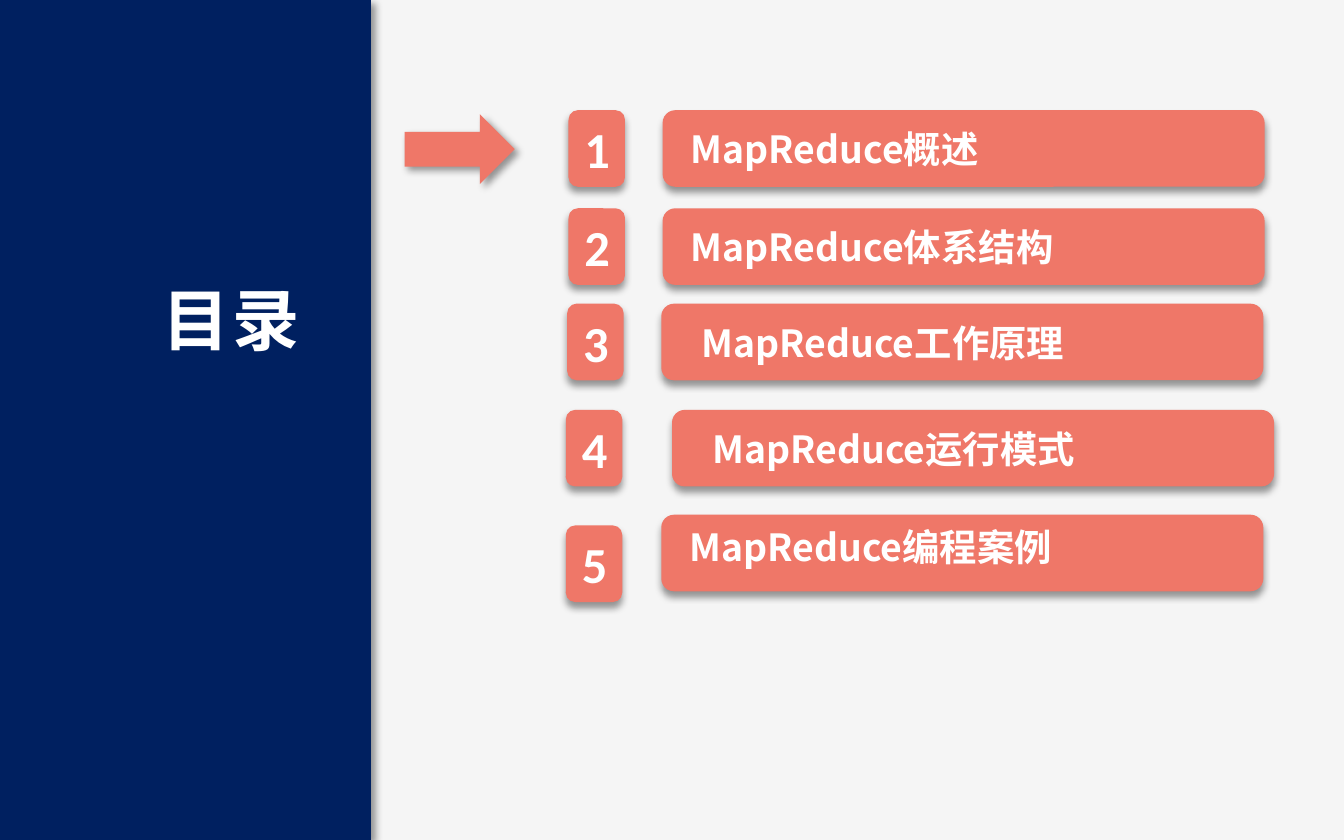
from lxml.etree import SubElement
from pptx import Presentation
from pptx.dml.color import RGBColor
from pptx.enum.shapes import MSO_SHAPE
from pptx.enum.text import MSO_ANCHOR, MSO_AUTO_SIZE, PP_ALIGN
from pptx.oxml.ns import qn
from pptx.util import Inches, Pt

NAVY, CORAL, WHITE, PAPER = "002060", "EF7768", "FFFFFF", "F5F5F5"
CHINESE_FONT, NUMBER_FONT = "Noto Sans CJK SC", "Calibri"
TITLE = "目录"
BADGE_SIZE, BAR_SIZE, LABEL_SIZE = (0.42, 0.57), (4.48, 0.57), (4.24, 0.47)

# label, badge position, bar position, label offset inside the bar
CHAPTERS = [
    ("MapReduce概述", (4.23, 0.82), (4.93, 0.82), (0.08, 0.05)),
    ("MapReduce体系结构", (4.23, 1.55), (4.93, 1.55), (0.08, 0.05)),
    ("MapReduce工作原理", (4.22, 2.26), (4.92, 2.26), (0.17, 0.05)),
    ("MapReduce运行模式", (4.21, 3.05), (5, 3.05), (0.17, 0.05)),
    ("MapReduce编程案例", (4.21, 3.91), (4.92, 3.83), (0.08, 0)),
]


def color(value):
    """Turn a hex string into a colour."""
    return RGBColor.from_string(value)


def add_shadow(shape, angle):
    """Give a shape a soft black shadow falling at an angle in degrees."""
    effects = SubElement(shape.element.spPr, qn("a:effectLst"))
    shadow = SubElement(effects, qn("a:outerShdw"), blurRad=str(Pt(4)), dist=str(Pt(3)),
                        dir=str(angle * 60000), algn="ctr", rotWithShape="0")
    black = SubElement(shadow, qn("a:srgbClr"), val="000000")
    SubElement(black, qn("a:alpha"), val="40000")


def add_block(shapes, kind, position, size, fill, angle):
    """Add a filled preset shape without outline."""
    shape = shapes.add_shape(kind, *map(Inches, (*position, *size)))
    shape.fill.solid()
    shape.fill.fore_color.rgb = color(fill)
    shape.line.fill.background()
    add_shadow(shape, angle)
    return shape


def write(shape, text, font_name, size, alignment, anchor, insets):
    """Put one line of bold white text into a shape."""
    frame = shape.text_frame
    left, top, right, bottom = map(Inches, insets)
    frame_format = {
        "word_wrap": True, "auto_size": MSO_AUTO_SIZE.NONE, "vertical_anchor": anchor,
        "margin_left": left, "margin_top": top, "margin_right": right, "margin_bottom": bottom,
    }
    for name, value in frame_format.items():
        setattr(frame, name, value)
    paragraph = frame.paragraphs[0]
    paragraph.alignment = alignment
    run = paragraph.add_run()
    run.text = text
    for name, value in {"name": font_name, "size": Pt(size), "bold": True}.items():
        setattr(run.font, name, value)
    run.font.color.rgb = color(WHITE)
    properties = run.font._element
    SubElement(properties, qn("a:ea"), typeface=font_name)
    return properties


def add_chapter(slide, number, label, badge_position, bar_position, offset):
    """Add a numbered badge and the grouped bar with its label."""
    badge = add_block(slide.shapes, MSO_SHAPE.ROUNDED_RECTANGLE, badge_position, BADGE_SIZE, CORAL, 90)
    write(badge, str(number), NUMBER_FONT, 27, PP_ALIGN.CENTER, MSO_ANCHOR.MIDDLE, (0.1, 0.05, 0.1, 0.05))
    group = slide.shapes.add_group_shape()
    add_block(group.shapes, MSO_SHAPE.ROUNDED_RECTANGLE, bar_position, BAR_SIZE, CORAL, 90)
    label_position = [start + shift for start, shift in zip(bar_position, offset)]
    box = group.shapes.add_textbox(*map(Inches, (*label_position, *LABEL_SIZE)))
    write(box, label, CHINESE_FONT, 20, PP_ALIGN.LEFT, MSO_ANCHOR.TOP, (0.13, 0.07, 0.13, 0.07))


def main():
    """Build the contents slide."""
    presentation = Presentation()
    presentation.slide_width, presentation.slide_height = Inches(10), Inches(6.25)
    slide = presentation.slides.add_slide(presentation.slide_layouts[5])
    slide.background.fill.solid()
    slide.background.fill.fore_color.rgb = color(PAPER)

    panel = add_block(slide.shapes, MSO_SHAPE.RECTANGLE, (-0.09, 0), (2.85, 6.25), NAVY, 45)
    title = slide.shapes.title
    panel.element.addnext(title.element)
    for name, value in {"left": 0.16, "top": 2.02, "width": 2.3, "height": 0.71}.items():
        setattr(title, name, Inches(value))
    properties = write(title, TITLE, CHINESE_FONT, 36, PP_ALIGN.RIGHT, MSO_ANCHOR.TOP, (0.1, 0.05, 0.23, 0.05))
    properties.set("spc", "150")

    arrow = add_block(slide.shapes, MSO_SHAPE.DOWN_ARROW, (3.16, 0.7), (0.52, 0.82), CORAL, 45)
    arrow.rotation = 270
    for number, chapter in enumerate(CHAPTERS, 1):
        add_chapter(slide, number, *chapter)
    presentation.save("out.pptx")


if __name__ == "__main__":
    main()
